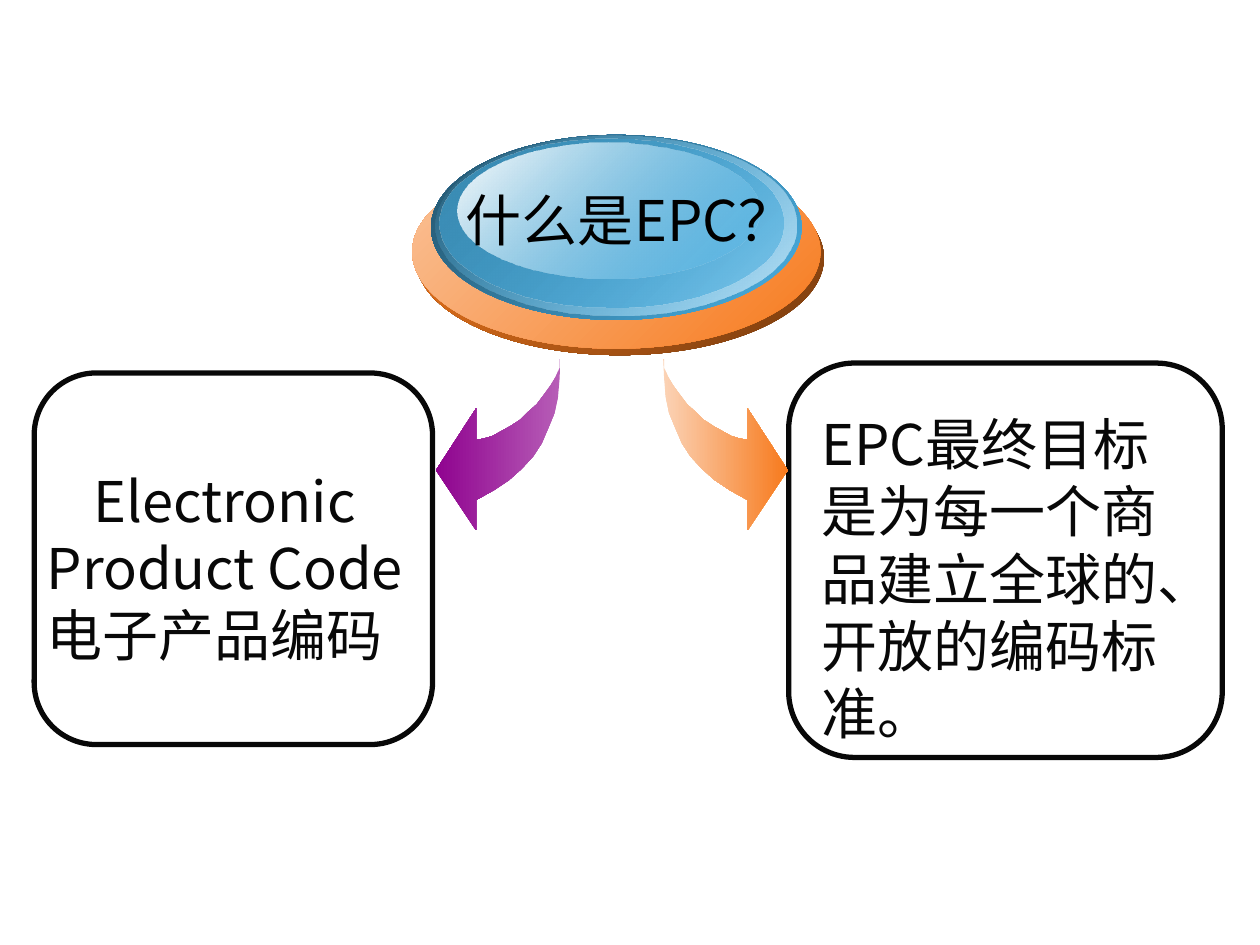
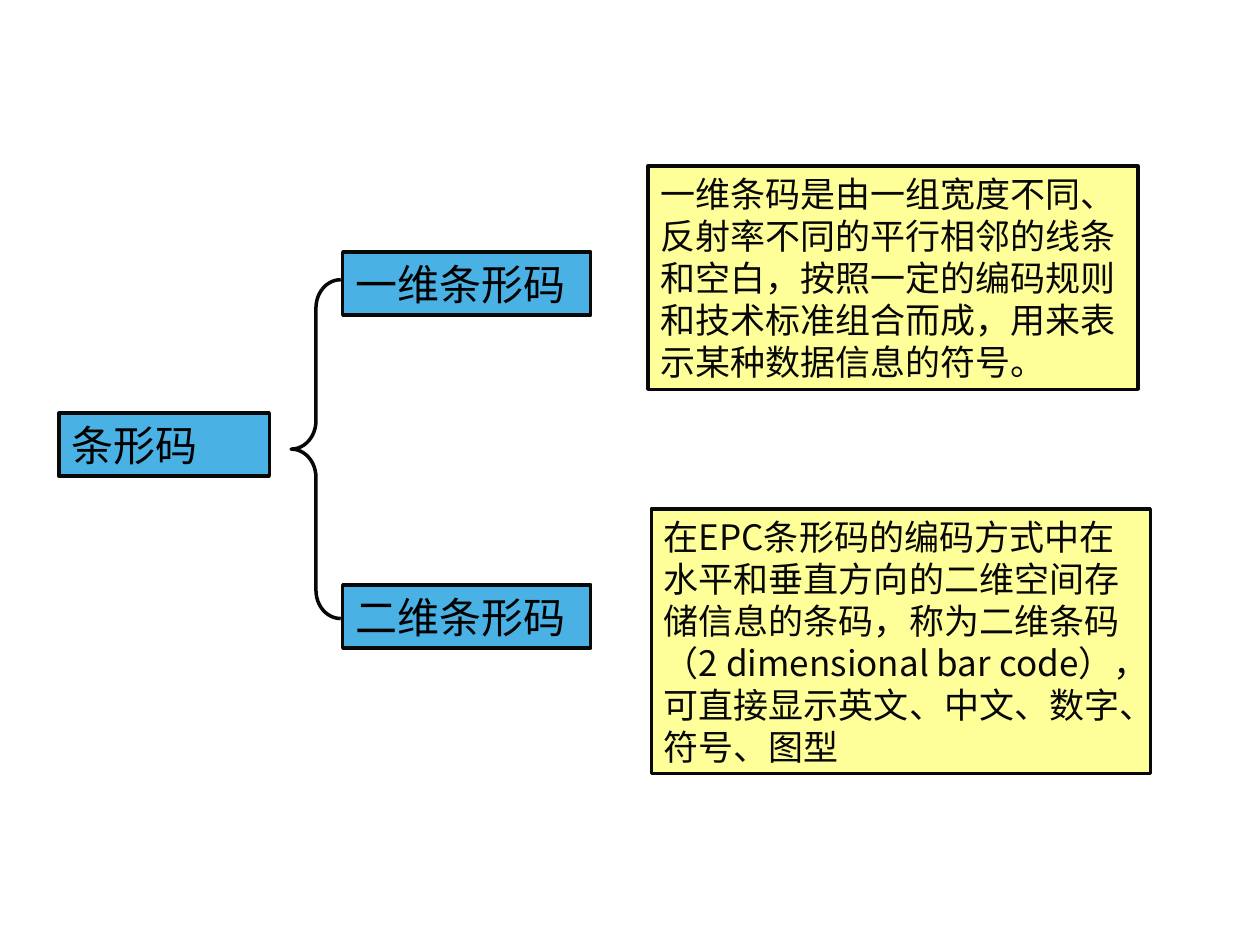
import pptx
import pptx.util
import pptx.dml.color
import pptx.enum.shapes
import pptx.enum.text
import pptx.oxml
import pptx.oxml.ns

Cm = pptx.util.Cm
Pt = pptx.util.Pt
KIND = pptx.enum.shapes.MSO_SHAPE
ALIGN = pptx.enum.text.PP_ALIGN

# Shared look
INK, BLACK, BLUE, SAND = "080808", "000000", "4AB1E4", "FFFF99"
NOTO, DEJA, CABIN = "Noto Sans CJK JP", "DejaVu Sans", "Cabin"
BIG = {"size": Pt(32), "name": NOTO}
BODY = {"size": Pt(20), "name": NOTO}
LABEL = {"size": Pt(24), "name": DEJA}
ROOT = {"size": Pt(24), "name": CABIN}
FRAME = {"word_wrap": True, "vertical_anchor": pptx.enum.text.MSO_ANCHOR.TOP,
         "margin_left": Cm(0.25), "margin_right": Cm(0.25),
         "margin_top": Cm(0.13), "margin_bottom": Cm(0.13)}


def tint(code):
    return pptx.dml.color.RGBColor.from_string(code)


def write(shape, text, look, ink, align=ALIGN.LEFT):
    frame = shape.text_frame
    for key, value in FRAME.items():
        setattr(frame, key, value)
    para = frame.paragraphs[0]
    para.alignment = align
    run = para.add_run()
    run.text = text
    for key, value in look.items():
        setattr(run.font, key, value)
    run.font.color.rgb = tint(ink)
    east = pptx.oxml.parse_xml(
        f'<a:ea {pptx.oxml.ns.nsdecls("a")} typeface="{look["name"]}"/>')
    run.font._element.append(east)
    return para


deck = pptx.Presentation()
deck.slide_width, deck.slide_height = Cm(25.4), Cm(19.05)
blank = deck.slide_layouts[6]
goal = deck.slides.add_slide(blank)
codes = deck.slides.add_slide(blank)

# Outlined shapes: slide, kind, adjustment, place, line, fill, text, look, ink
frames = [
    (goal, KIND.ROUNDED_RECTANGLE, 0.167, (15.9, 7.32, 8.74, 7.95), 3, None, "", BIG, INK),
    (goal, KIND.ROUNDED_RECTANGLE, 0.167, (0.69, 7.52, 8.03, 7.49), 3, None, "", BIG, INK),
    (codes, KIND.LEFT_BRACE, 0.57, (5.87, 5.64, 1, 6.83), 2, None, "", LABEL, INK),
    (codes, KIND.RECTANGLE, None, (6.91, 5.08, 5, 1.27), 2, BLUE, "一维条形码", LABEL, BLACK),
    (codes, KIND.RECTANGLE, None, (6.91, 11.79, 5, 1.27), 2, BLUE, "二维条形码", LABEL, BLACK),
    (codes, KIND.RECTANGLE, None, (13.06, 3.35, 9.88, 4.5), 2, SAND,
     "一维条码是由一组宽度不同、反射率不同的平行相邻的线条和空白，"
     "按照一定的编码规则和技术标准组合而成，用来表示某种数据信息的符号。", BODY, INK),
    (codes, KIND.RECTANGLE, None, (13.13, 10.26, 10.06, 5.33), 2, SAND,
     "在EPC条形码的编码方式中在水平和垂直方向的二维空间存储信息的条码，"
     "称为二维条码（2 dimensional bar code），可直接显示英文、中文、数字、符号、图型",
     BODY, INK),
    (codes, KIND.RECTANGLE, None, (1.19, 8.33, 4.24, 1.27), 2, BLUE, "条形码", ROOT, BLACK),
]
for slide, kind, bend, place, width, fill, text, look, ink in frames:
    shape = slide.shapes.add_shape(kind, *map(Cm, place))
    shape.shadow.inherit = False
    shape.line.color.rgb = tint(INK)
    shape.line.width = Pt(width)
    if bend:
        shape.adjustments[0] = bend
    if fill:
        shape.fill.solid()
        shape.fill.fore_color.rgb = tint(fill)
    else:
        shape.fill.background()
    if text:
        write(shape, text, look, ink)

# Curved arrows: offsets from the tip side, mirrored for the right one
curve = [
    (2.51, 0), (2.49, 0.41), (2.46, 0.76), (2.39, 1.09), (2.26, 1.4),
    (2.13, 1.7), (1.96, 1.96), (1.73, 2.21), (1.47, 2.44), (1.17, 2.64),
    (0.81, 2.84), (0.81, 3.45), (0, 2.24), (0.81, 0.99), (0.81, 1.63),
    (0.97, 1.6), (1.14, 1.55), (1.32, 1.45), (1.5, 1.35), (1.7, 1.22),
    (1.85, 1.07), (2.03, 0.91), (2.18, 0.71), (2.31, 0.53), (2.41, 0.36),
    (2.49, 0.18), (2.49, 0),
]
shaded = []
for tip, side, start, end, angle in [(8.79, 1, "B75EB7", "8F038F", 180),
                                     (15.88, -1, "FBD3B6", "F77A1D", 0)]:
    points = [(Cm(tip + side * x), Cm(7.24 + y)) for x, y in curve]
    pen = goal.shapes.build_freeform(*points[0])
    pen.add_line_segments(points[1:], close=True)
    shaded.append((pen.convert_to_shape(), (start, 100), (end, 100), angle))

# Layered button: place, then first and last colour with opacity
layers = [
    ((8.38, 3.25, 8.23, 3.91), ("773B0E", 100), ("F77A1D", 100)),
    ((8.31, 3.12, 8.23, 3.91), ("F77A1D", 100), ("FAC39A", 100)),
    ((8.69, 2.72, 7.47, 3.73), (BLUE, 100), ("225169", 100)),
    ((8.79, 2.74, 7.26, 3.63), ("BFE2F4", 100), (BLUE, 0)),
    ((8.86, 2.79, 6.93, 3.4), (BLUE, 48), ("3A8BB3", 100)),
    ((9.22, 2.87, 6.1, 2.74), (BLUE, 38), ("FEFEFE", 100)),
]
button = goal.shapes.add_group_shape()
for place, start, end in layers:
    oval = button.shapes.add_shape(KIND.OVAL, *map(Cm, place))
    shaded.append((oval, start, end, 135))

# Gradient fills
for shape, start, end, angle in shaded:
    shape.shadow.inherit = False
    shape.line.fill.background()
    shape.fill.gradient()
    shape.fill.gradient_angle = angle
    for stop, spot, (code, solid) in zip(shape.fill.gradient_stops, (0, 1), (start, end)):
        stop.position = spot
        stop.color.rgb = tint(code)
        if solid < 100:
            alpha = pptx.oxml.parse_xml(
                f'<a:alpha {pptx.oxml.ns.nsdecls("a")} val="{solid * 1000}"/>')
            stop._gs.find(pptx.oxml.ns.qn("a:srgbClr")).append(alpha)

# Texts of the first slide: place, text, ink, alignment, first-line indent
notes = [
    ((0.69, 9.27, 8.03, 4.32), "Electronic Product Code电子产品编码", INK, ALIGN.LEFT, 0.95),
    ((9.02, 3.61, 7.37, 1.63), "什么是EPC？", BLACK, ALIGN.CENTER, 0),
    ((16.31, 8.13, 7.82, 7.04), "EPC最终目标是为每一个商品建立全球的、开放的编码标准。",
     INK, ALIGN.LEFT, 0),
]
for place, text, ink, align, indent in notes:
    box = goal.shapes.add_textbox(*map(Cm, place))
    para = write(box, text, BIG, ink, align)
    if indent:
        para._p.get_or_add_pPr().set("indent", str(Cm(indent)))

deck.save("out.pptx")
